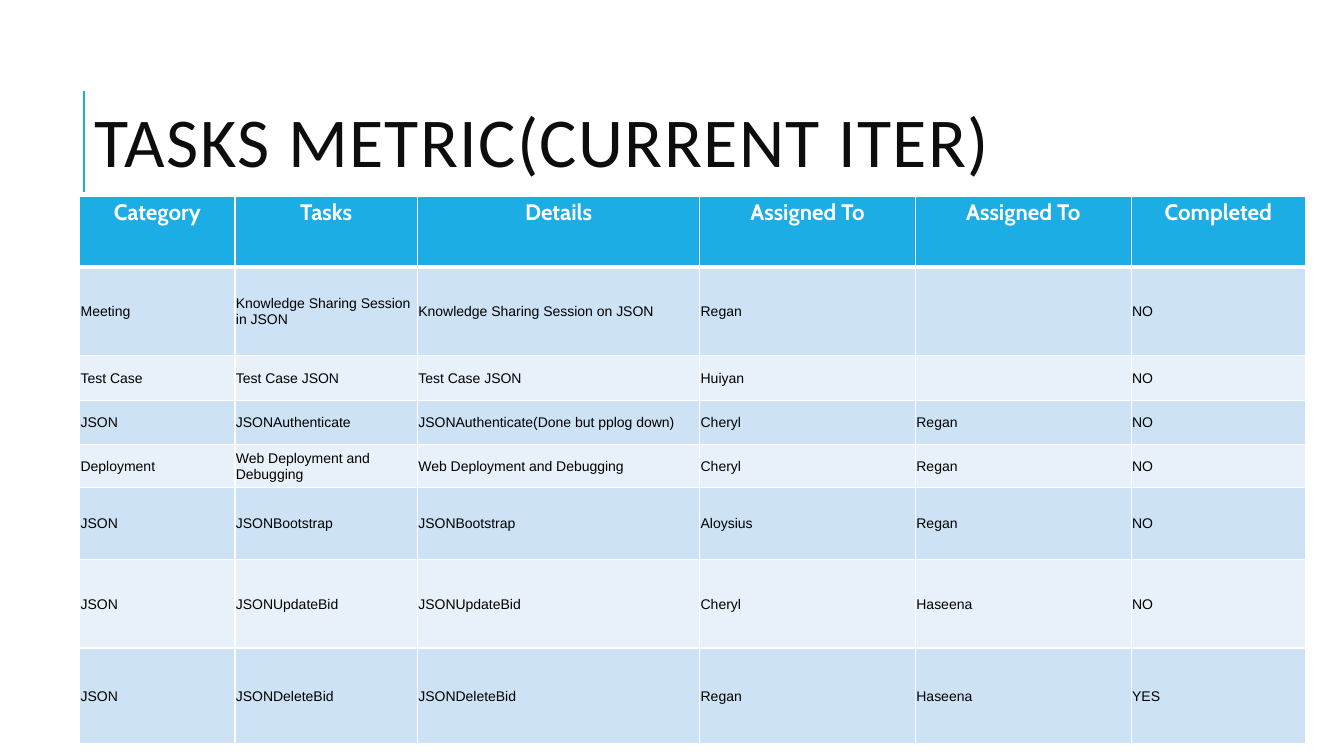
from lxml import etree
from pptx import Presentation
from pptx.dml.color import RGBColor
from pptx.enum.shapes import MSO_CONNECTOR
from pptx.enum.text import MSO_ANCHOR, MSO_AUTO_SIZE, PP_ALIGN
from pptx.oxml.ns import qn
from pptx.util import Inches, Pt

STRAIGHT = MSO_CONNECTOR.STRAIGHT
TOP, MIDDLE = MSO_ANCHOR.TOP, MSO_ANCHOR.MIDDLE
LEFT, CENTER = PP_ALIGN.LEFT, PP_ALIGN.CENTER

ACCENT, WHITE, BLACK, INK = "1CADE4", "FFFFFF", "000000", "0D0D0D"
BANDS = ["E8F1FA", "CDE3F5"]

COLS = [1.54, 1.81, 2.8, 2.14, 2.14, 1.73]
ROWS = [0.7, 0.88, 0.44, 0.44, 0.43, 0.71, 0.88, 0.95]
TASKS = [
    ["Category", "Tasks", "Details", "Assigned To", "Assigned To", "Completed"],
    ["Meeting", "Knowledge Sharing Session in JSON",
     "Knowledge Sharing Session on JSON", "Regan", "", "NO"],
    ["Test Case", "Test Case JSON", "Test Case JSON", "Huiyan", "", "NO"],
    ["JSON", "JSONAuthenticate", "JSONAuthenticate(Done but pplog down)",
     "Cheryl", "Regan", "NO"],
    ["Deployment", "Web Deployment and Debugging",
     "Web Deployment and Debugging", "Cheryl", "Regan", "NO"],
    ["JSON", "JSONBootstrap", "JSONBootstrap", "Aloysius", "Regan", "NO"],
    ["JSON", "JSONUpdateBid", "JSONUpdateBid", "Cheryl", "Haseena", "NO"],
    ["JSON", "JSONDeleteBid", "JSONDeleteBid", "Regan", "Haseena", "YES"],
]


def rgb(value):
    return RGBColor.from_string(value)


def add_run(p, text, font, size, color, bold=False):
    r = p.add_run()
    r.text = text
    r.font.name, r.font.size, r.font.bold = font, Pt(size), bold
    r.font.color.rgb = rgb(color)
    return r


def add_title(s, text, x, y, w, h):
    # Title placeholder
    sp = s.shapes.title
    sp.left, sp.top, sp.width, sp.height = map(Inches, (x, y, w, h))
    tf = sp.text_frame
    tf.word_wrap, tf.auto_size = True, MSO_AUTO_SIZE.NONE
    tf.vertical_anchor = MIDDLE
    p = tf.paragraphs[0]
    p.alignment, p.line_spacing = LEFT, 0.8
    r = add_run(p, text, "Calibri", 50, INK)
    r.font._element.set("spc", "100")

    # Accent rule beside the title
    rule_x = Inches(x - 0.01)
    rule = s.shapes.add_connector(STRAIGHT, rule_x, Inches(y + 1.26),
                                  rule_x, Inches(y + 0.26))
    rule.line.color.rgb, rule.line.width = rgb(ACCENT), Pt(1.5)
    etree.SubElement(rule._element.spPr, qn("a:effectLst"))


def set_borders(cell, color, **widths):
    tcPr = cell._tc.get_or_add_tcPr()
    for side in "LRTB":
        ln = etree.SubElement(tcPr, qn("a:ln" + side),
                              w=str(Pt(widths.get(side, 1))))
        fill = etree.SubElement(ln, qn("a:solidFill"))
        etree.SubElement(fill, qn("a:srgbClr"), val=color)


def fill_cell(cell, text, row):
    header = row == 0
    # Heavier line between header and body
    set_borders(cell, WHITE, T=3 if row == 1 else 1, B=3 if header else 1)
    cell.fill.solid()
    cell.fill.fore_color.rgb = rgb(ACCENT if header else BANDS[row % 2])
    cell.margin_left = cell.margin_right = cell.margin_top = Inches(0.01)
    cell.margin_bottom = 0
    cell.vertical_anchor = TOP if header else MIDDLE
    p = cell.text_frame.paragraphs[0]
    if header:
        p.alignment, p.line_spacing = CENTER, 1.07
        add_run(p, text, "Cabin", 16, WHITE, True)
    elif text:
        add_run(p, text, "Arial", 10, BLACK)
    else:
        p.font.size = Pt(10)


def add_task_table(s, x, y):
    table = s.shapes.add_table(len(ROWS), len(COLS), Inches(x), Inches(y),
                               Inches(sum(COLS)), Inches(sum(ROWS))).table
    for column, width in zip(table.columns, COLS):
        column.width = Inches(width)
    for i, (height, texts) in enumerate(zip(ROWS, TASKS)):
        table.rows[i].height = Inches(height)
        for j, text in enumerate(texts):
            fill_cell(table.cell(i, j), text, i)


def main():
    prs = Presentation()
    prs.slide_width, prs.slide_height = Inches(13.33), Inches(7.5)
    s = prs.slides.add_slide(prs.slide_layouts[5])
    s.background.fill.solid()
    s.background.fill.fore_color.rgb = rgb(WHITE)
    add_title(s, "TASKS METRIC(CURRENT ITER)", 0.84, 0.64, 10.63, 1.64)
    add_task_table(s, 0.79, 1.95)
    prs.save("out.pptx")


if __name__ == "__main__":
    main()
